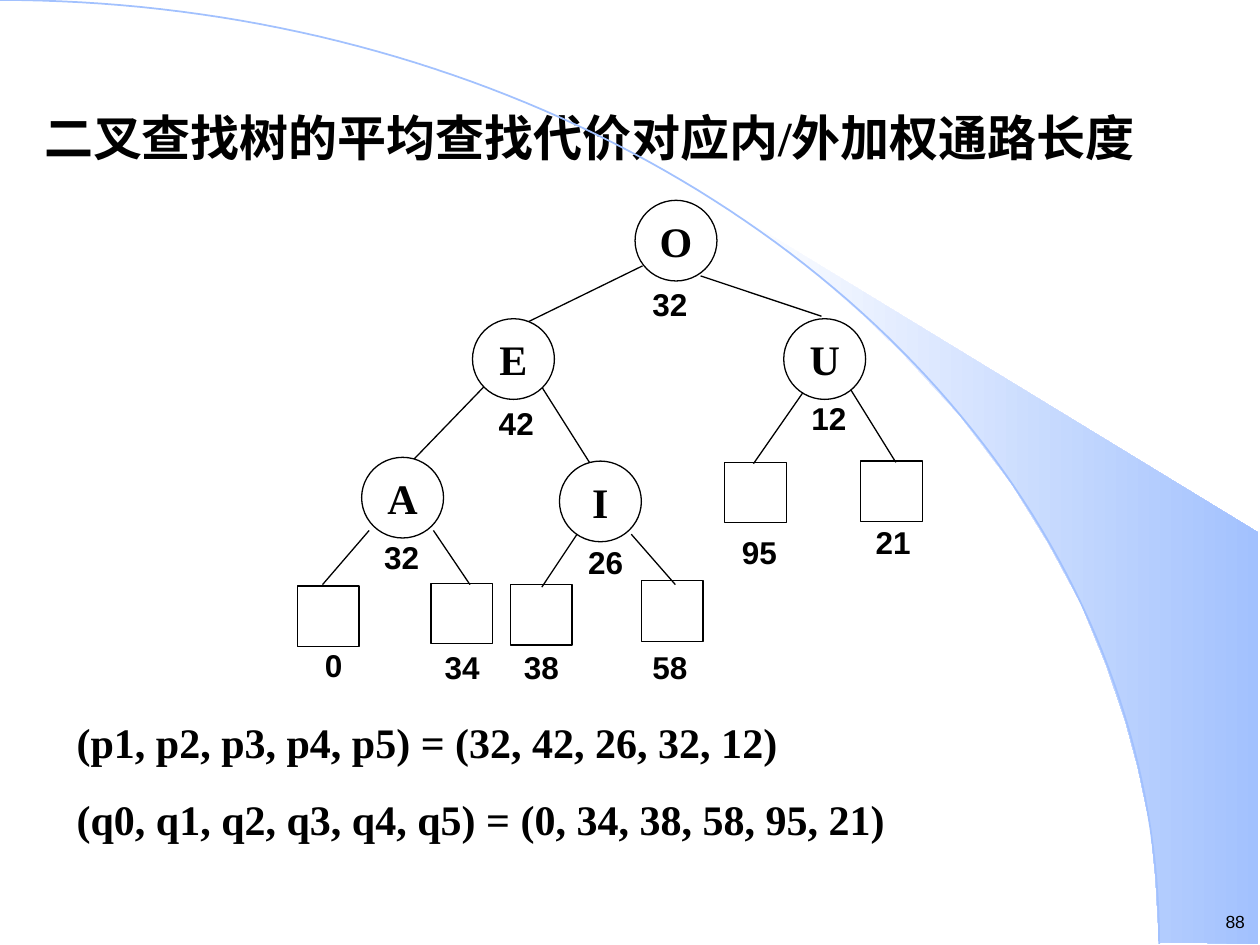
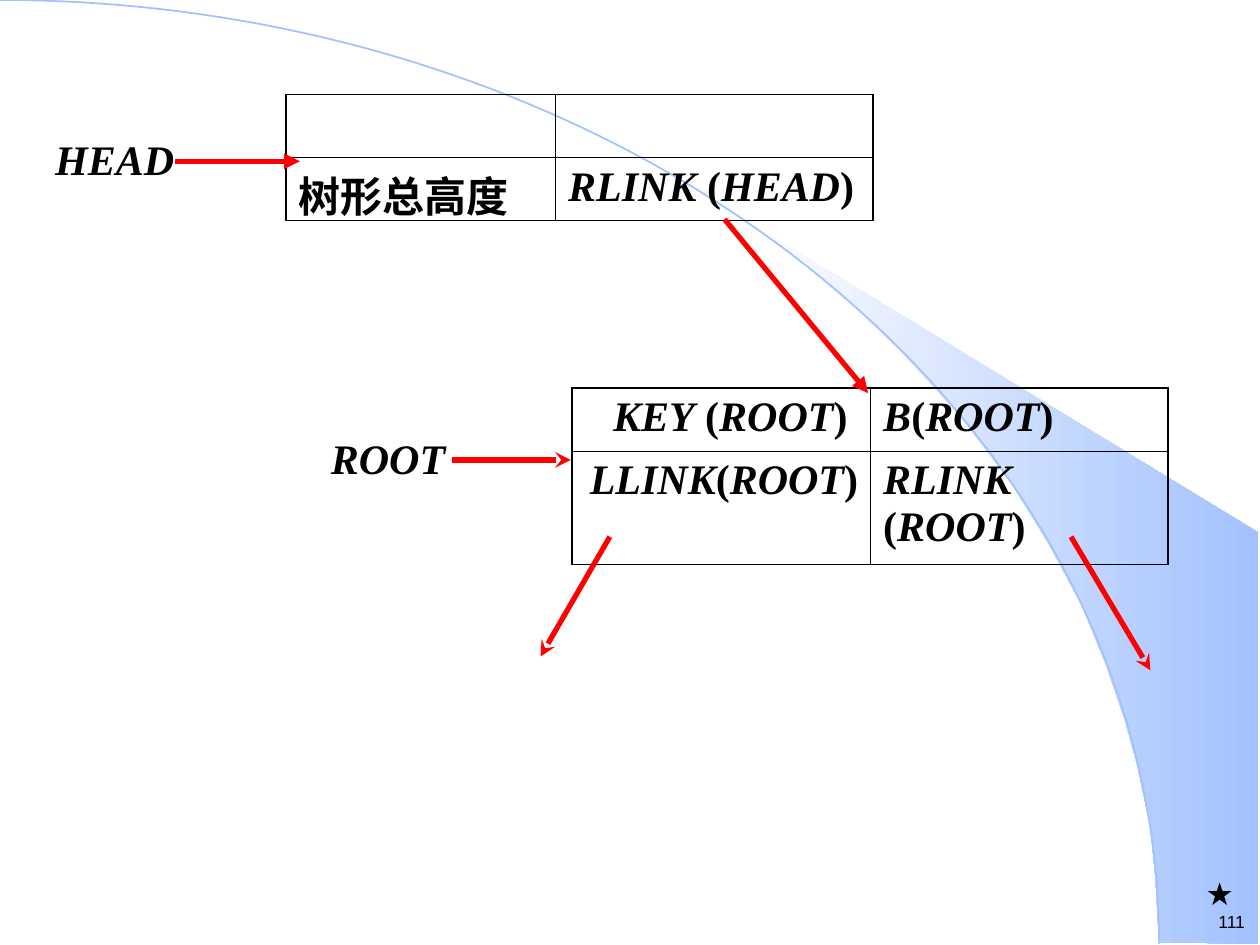
import itertools
import math

import pptx
import pptx.dml.color
import pptx.enum.shapes
import pptx.enum.text
import pptx.oxml
import pptx.oxml.ns
import pptx.util

Inches, Pt = pptx.util.Inches, pptx.util.Pt
SHAPE = pptx.enum.shapes.MSO_SHAPE
ALIGN = pptx.enum.text.PP_ALIGN
ANCHOR = pptx.enum.text.MSO_ANCHOR

COLORS = {"ink": "000000", "paper": "FFFFFF", "sky": "A2C1FE", "arrow": "FF0000"}
SERIF, SANS = "Times New Roman", "Arial"
FORMATS = {
    "title": {"name": SERIF, "size": Pt(28), "bold": True},
    "body": {"name": SERIF, "size": Pt(24), "bold": True},
    "pointer": {"name": SERIF, "size": Pt(24), "bold": True, "italic": True},
    "weight": {"name": SANS, "size": Pt(18), "bold": True},
    "star": {"name": SANS, "size": Pt(18)},
    "number": {"name": SANS, "size": Pt(10)},
}

# Background shared by both slides
ARC_WIDTH, ARC_HEIGHT = 9.2, 7.49
WEDGE = [
    (9.2, 7.48), (9.99, 7.49), (9.99, 4.23), (5.89, 1.73), (6.24, 1.99), (6.53, 2.22),
    (6.85, 2.5), (7.16, 2.8), (7.62, 3.3), (8.03, 3.84), (8.32, 4.31), (8.58, 4.79),
    (8.78, 5.28), (8.93, 5.72), (9.03, 6.09), (9.13, 6.56), (9.17, 6.96),
]

# Search tree slide
TREE_TITLE = "二叉查找树的平均查找代价对应内/外加权通路长度"
FORMULAS = [
    "(p1, p2, p3, p4, p5) = (32, 42, 26, 32, 12)",
    "(q0, q1, q2, q3, q4, q5) = (0, 34, 38, 58, 95, 21)",
]
NODE_SIZE, LEAF_SIZE = (0.65, 0.64), (0.49, 0.48)
# key, node corner, weight, weight corner
NODES = [
    ("O", (5.04, 1.59), "32", (5.08, 2.21)),
    ("E", (3.75, 2.53), "42", (3.86, 3.16)),
    ("U", (6.22, 2.53), "12", (6.34, 3.12)),
    ("A", (2.87, 3.63), "32", (2.95, 4.22)),
    ("I", (4.44, 3.66), "26", (4.57, 4.26)),
]
# leaf corner, weight, weight corner
LEAVES = [
    ((2.36, 4.65), "0", (2.48, 5.08)),
    ((3.42, 4.63), "34", (3.43, 5.09)),
    ((4.05, 4.64), "38", (4.06, 5.09)),
    ((5.09, 4.61), "58", (5.08, 5.09)),
    ((5.75, 3.67), "95", (5.79, 4.18)),
    ((6.83, 3.66), "21", (6.85, 4.1)),
]
EDGES = [
    ((5.1, 2.11), (4.18, 2.56)), ((5.56, 2.19), (6.52, 2.51)),
    ((3.85, 3.06), (3.28, 3.65)), ((4.28, 3.04), (4.71, 3.72)),
    ((6.37, 3.12), (5.98, 3.68)), ((6.75, 3.09), (7.11, 3.67)),
    ((2.93, 4.21), (2.56, 4.64)), ((3.44, 4.21), (3.73, 4.64)),
    ((4.58, 4.24), (4.3, 4.66)), ((5.01, 4.24), (5.36, 4.64)),
]

# Linked record slide
RECORDS = [
    {"corner": (2.27, 0.75), "columns": [2.14, 2.52], "rows": [0.5, 0.5],
     "aligns": [ALIGN.LEFT, ALIGN.LEFT],
     "fields": [["", ""], ["树形总高度", "RLINK (HEAD)"]]},
    {"corner": (4.54, 3.08), "columns": [2.37, 2.36], "rows": [0.5, 0.9],
     "aligns": [ALIGN.RIGHT, ALIGN.LEFT],
     "fields": [["KEY (ROOT) ", "B(ROOT)"], ["LLINK(ROOT) ", "RLINK (ROOT)"]]},
]
POINTERS = [("HEAD", (0.35, 1.06, 1.12, 0.4)), ("ROOT", (2.54, 3.43, 1.08, 0.4))]
ARROWS = [
    ((1.39, 1.28), (2.38, 1.28), "triangle"),
    ((5.75, 1.74), (6.89, 3.12), "triangle"),
    ((8.5, 4.26), (9.13, 5.32), "stealth"),
    ((4.84, 4.26), (4.29, 5.21), "stealth"),
    ((3.59, 3.65), (4.53, 3.65), "stealth"),
]


def color(key):
    return pptx.dml.color.RGBColor.from_string(COLORS[key])


def inches(*values):
    return [Inches(value) for value in values]


def element(xml):
    return pptx.oxml.parse_xml(xml.replace(" ", f' {pptx.oxml.ns.nsdecls("a")} ', 1))


def apply_format(font, style, **changes):
    for attribute, value in {**FORMATS[style], **changes}.items():
        setattr(font, attribute, value)
    font.color.rgb = color("ink")


def fill_frame(frame, lines, style, align=ALIGN.LEFT, insets=(0.1, 0.05),
               anchor=ANCHOR.TOP, gap=0):
    frame.word_wrap = True
    frame.vertical_anchor = anchor
    frame.margin_left = frame.margin_right = Inches(insets[0])
    frame.margin_top = frame.margin_bottom = Inches(insets[1])
    for index, line in enumerate(lines):
        paragraph = frame.add_paragraph() if index else frame.paragraphs[0]
        paragraph.alignment = align
        if index:
            paragraph.space_before = Pt(gap)
        run = paragraph.add_run()
        run.text = line
        apply_format(run.font, style)


def add_text(slide, box, lines, style, **options):
    fill_frame(slide.shapes.add_textbox(*inches(*box)).text_frame, lines, style, **options)


def add_outlined(slide, kind, corner, size):
    shape = slide.shapes.add_shape(kind, *inches(*corner, *size))
    shape.shadow.inherit = False
    shape.fill.solid()
    shape.fill.fore_color.rgb = color("paper")
    shape.line.color.rgb = color("ink")
    shape.line.width = Pt(0.75)
    return shape


def add_line(slide, start, end, line_color="ink", width=0.75, arrowhead=None):
    line = slide.shapes.add_connector(
        pptx.enum.shapes.MSO_CONNECTOR.STRAIGHT, *inches(*start, *end))
    line.line.color.rgb = color(line_color)
    line.line.width = Pt(width)
    if arrowhead:
        line.line._get_or_add_ln().append(element(f'<a:tailEnd type="{arrowhead}"/>'))
    line._element.spPr.append(element("<a:effectLst />"))


def add_outline(slide, points, close):
    start, *others = [inches(*point) for point in points]
    builder = slide.shapes.build_freeform(*start)
    builder.add_line_segments(others, close=close)
    outline = builder.convert_to_shape()
    outline.shadow.inherit = False
    return outline


def add_backdrop(slide, number):
    wedge = add_outline(slide, WEDGE, close=True)
    wedge.line.fill.background()
    wedge.fill.gradient()
    wedge.fill.gradient_angle = 0
    for stop, key in zip(wedge.fill.gradient_stops, ("paper", "sky")):
        stop.color.rgb = color(key)

    angles = [math.radians(degree) for degree in range(91)]
    arc = add_outline(slide, [(ARC_WIDTH * math.sin(a), ARC_HEIGHT * (1 - math.cos(a)))
                              for a in angles], close=False)
    arc.fill.background()
    arc.line.color.rgb = color("sky")
    arc.line.width = Pt(1)
    add_text(slide, (9.41, 7.18, 0.49, 0.27), [number], "number",
             align=ALIGN.RIGHT, insets=(0.02, 0.05))


def set_borders(cell, row, column):
    """Draw thick lines on the outer edges of a 2 by 2 table and thin ones inside."""
    outer = {"L": column == 0, "R": column == 1, "T": row == 0, "B": row == 1}
    properties = cell._tc.get_or_add_tcPr()
    for index, (side, thick) in enumerate(outer.items()):
        width = Pt(1.08 if thick else 0.45)
        properties.insert(index, element(
            f'<a:ln{side} w="{width}"><a:solidFill><a:srgbClr val="{COLORS["ink"]}"/>'
            f"</a:solidFill></a:ln{side}>"))


def add_record(slide, record):
    columns, rows = record["columns"], record["rows"]
    table = slide.shapes.add_table(
        len(rows), len(columns),
        *inches(*record["corner"], sum(columns), sum(rows))).table
    table.first_row = table.horz_banding = False
    for column, width in zip(table.columns, columns):
        column.width = Inches(width)
    for row, height in zip(table.rows, rows):
        row.height = Inches(height)
    for row, column in itertools.product(range(len(rows)), range(len(columns))):
        cell = table.cell(row, column)
        cell.fill.background()
        set_borders(cell, row, column)
        paragraph = cell.text_frame.paragraphs[0]
        paragraph.alignment = record["aligns"][column]
        # Latin names are italic, everything else upright
        for is_name, letters in itertools.groupby(
                record["fields"][row][column], lambda c: c.isascii() and c.isalpha()):
            run = paragraph.add_run()
            run.text = "".join(letters)
            apply_format(run.font, "body", italic=is_name)


def build_tree_slide(deck):
    slide = deck.slides.add_slide(deck.slide_layouts[5])
    add_backdrop(slide, "88")
    title = slide.shapes.title
    title.left, title.top, title.width, title.height = inches(0.25, 0.8, 9.32, 0.78)
    fill_frame(title.text_frame, [TREE_TITLE], "title")
    add_text(slide, (0.51, 5.64, 7.91, 1.11), FORMULAS, "body", gap=15)

    for corner, _, _ in LEAVES:
        add_outlined(slide, SHAPE.RECTANGLE, corner, LEAF_SIZE)
    for start, end in EDGES:
        add_line(slide, start, end)
    for key, corner, _, _ in NODES:
        node = add_outlined(slide, SHAPE.OVAL, corner, NODE_SIZE)
        fill_frame(node.text_frame, [key], "body", align=ALIGN.CENTER,
                   insets=(0.02, 0.01), anchor=ANCHOR.MIDDLE)
    for *_, weight, corner in NODES + LEAVES:
        add_text(slide, (*corner, 0.55, 0.4), [weight], "weight")


def build_record_slide(deck):
    slide = deck.slides.add_slide(deck.slide_layouts[6])
    add_backdrop(slide, "111")
    for record in RECORDS:
        add_record(slide, record)
    for start, end, arrowhead in ARROWS:
        add_line(slide, start, end, "arrow", 3, arrowhead)
    for pointer, box in POINTERS:
        add_text(slide, box, [pointer], "pointer", align=ALIGN.CENTER, insets=(0, 0))
    add_text(slide, (9.47, 6.89, 0.4, 0.4), ["★"], "star")


def main():
    deck = pptx.Presentation()
    deck.slide_width, deck.slide_height = inches(10, 7.5)
    build_tree_slide(deck)
    build_record_slide(deck)
    deck.save("out.pptx")


if __name__ == "__main__":
    main()
